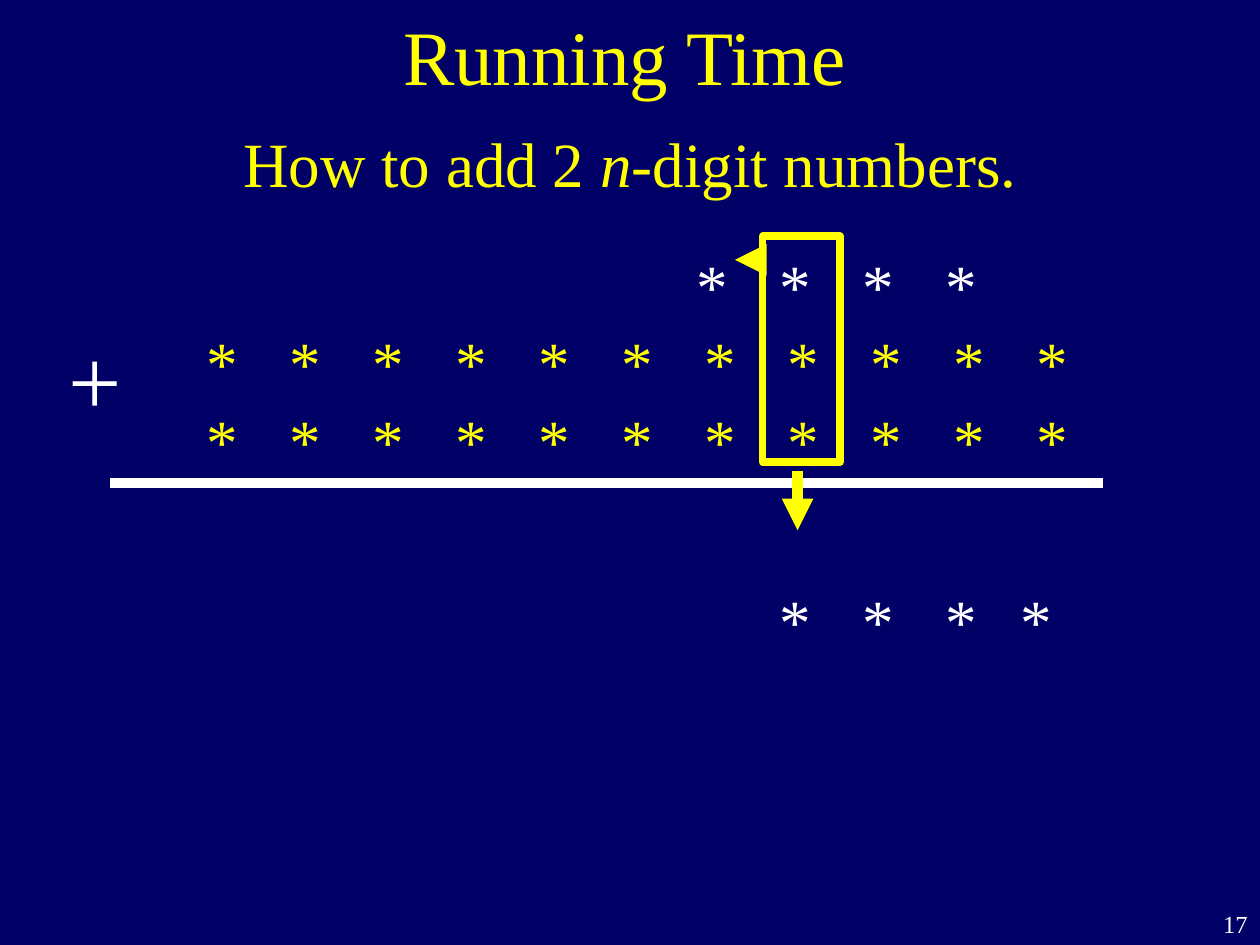
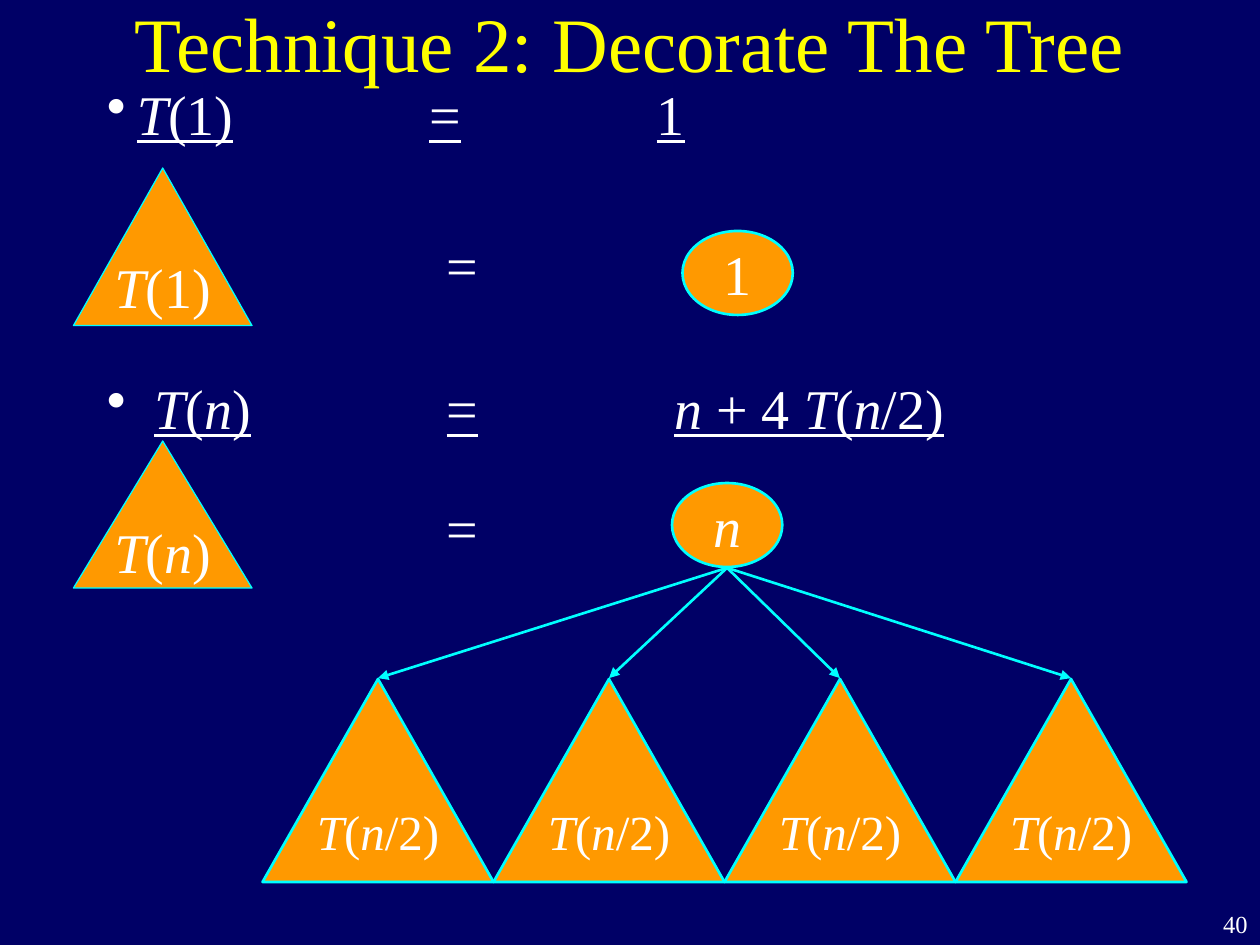
from dataclasses import dataclass

from lxml.etree import SubElement
from pptx import Presentation
from pptx.dml.color import RGBColor
from pptx.enum.shapes import MSO_CONNECTOR, MSO_SHAPE
from pptx.enum.text import MSO_ANCHOR as Anchor, PP_ALIGN as Align
from pptx.oxml.ns import qn
from pptx.slide import Slide
from pptx.util import Pt

COLORS = {
    "background": "000066",
    "title": "FFFF00",
    "body": "FFFFFF",
    "node": "FF9900",
    "outline": "00FFFF",
}
FONT = "Times New Roman"


@dataclass(frozen=True)
class Box:
    left: float
    top: float
    width: float
    height: float

    def lengths(self) -> tuple:
        return Pt(self.left), Pt(self.top), Pt(self.width), Pt(self.height)


@dataclass(frozen=True)
class Node:
    label: str
    kind: MSO_SHAPE
    box: Box
    size: float = 32
    line_width: float = 1.5


@dataclass(frozen=True)
class Line:
    start: tuple[float, float]
    end: tuple[float, float]
    color: str
    width: float
    arrow: bool = False


@dataclass(frozen=True)
class Equation:
    text: str
    top: float
    indent: float


def rgb(name: str) -> RGBColor:
    return RGBColor.from_string(COLORS[name])


def write(frame, text: str, *, size: float, color: str = "body", align=Align.CENTER,
          anchor=Anchor.MIDDLE, wrap: bool = True, underline: bool = False,
          inset: tuple[float, float] = (7.2, 3.6), gap: float = 0,
          indent: float = 0, tabs: tuple[float, ...] = ()) -> None:
    frame.word_wrap = wrap
    frame.vertical_anchor = anchor
    frame.margin_left = frame.margin_right = Pt(inset[0])
    frame.margin_top = frame.margin_bottom = Pt(inset[1])
    for number, line in enumerate(text.split("\n")):
        paragraph = frame.add_paragraph() if number else frame.paragraphs[0]
        paragraph.alignment = align
        if number:
            paragraph.space_before = Pt(gap)
        if indent:
            properties = paragraph._p.get_or_add_pPr()
            properties.set("marL", str(Pt(indent)))
            properties.set("indent", str(-Pt(indent)))
            SubElement(properties, qn("a:buChar"), char="•")
            stops = SubElement(properties, qn("a:tabLst"))
            for stop in tabs:
                SubElement(stops, qn("a:tab"), pos=str(Pt(stop)), algn="l")
        for part, words in enumerate(line.split("_")):
            if words:
                run = paragraph.add_run()
                run.text = words
                run.font.name = FONT
                run.font.size = Pt(size)
                run.font.italic = part % 2 == 1
                run.font.underline = underline
                run.font.color.rgb = rgb(color)


def add_text(slide: Slide, box: Box, text: str, **style) -> None:
    write(slide.shapes.add_textbox(*box.lengths()).text_frame, text, **style)


def add_line(slide: Slide, line: Line) -> None:
    ends = [Pt(value) for value in (*line.start, *line.end)]
    connector = slide.shapes.add_connector(MSO_CONNECTOR.STRAIGHT, *ends)
    connector.line.color.rgb = rgb(line.color)
    connector.line.width = Pt(line.width)
    if line.arrow:
        SubElement(connector.line._get_or_add_ln(), qn("a:tailEnd"), type="triangle")
    SubElement(connector._element.spPr, qn("a:effectLst"))


def add_node(slide: Slide, node: Node) -> None:
    shape = slide.shapes.add_shape(node.kind, *node.box.lengths())
    shape.shadow.inherit = False
    shape.fill.solid()
    shape.fill.fore_color.rgb = rgb("node")
    shape.line.color.rgb = rgb("outline")
    shape.line.width = Pt(node.line_width)
    write(shape.text_frame, node.label, size=node.size, wrap=False)


def add_slide(deck, title: str, title_box: Box, number: int) -> Slide:
    slide = deck.slides.add_slide(deck.slide_layouts[6])
    slide.background.fill.solid()
    slide.background.fill.fore_color.rgb = rgb("background")
    add_text(slide, title_box, title, size=44, color="title")
    add_text(slide, Box(684, 516, 36, 24), str(number), size=14,
             align=Align.RIGHT, anchor=Anchor.TOP)
    return slide


def add_digits(slide: Slide, center: float, top: float, text: str, color: str) -> None:
    add_text(slide, Box(center - 12, top, 24, 42 * len(text.split())), text, size=36,
             color=color, anchor=Anchor.TOP, inset=(0, 0), gap=1.8)


def build_running_time(deck) -> None:
    slide = add_slide(deck, "Running Time", Box(18, -13.5, 678, 90), 17)
    add_text(slide, Box(54, 48, 612, 90), "How to add 2 _n_-digit numbers.",
             size=36, color="title")

    columns = [127.1 + 47.4 * index for index in range(11)]
    for center in columns:
        add_digits(slide, center, 184.6, "*\n*", "title")
    for center in columns[6:10]:
        add_digits(slide, center - 4.5, 141, "*", "body")
    for center in (*(column - 4.5 for column in columns[7:10]), columns[10] - 9):
        add_digits(slide, center, 332.6, "*", "body")
    add_text(slide, Box(18, 180, 73.2, 72), "+", size=54, inset=(0, 3.6))

    add_line(slide, Line((630, 276), (63, 276), "body", 6))
    add_line(slide, Line((455.75, 269), (455.75, 303), "title", 6, True))
    add_line(slide, Line((435, 148.5), (420, 148.5), "title", 6, True))
    current_column = slide.shapes.add_shape(
        MSO_SHAPE.RECTANGLE, *Box(435.75, 135, 44.25, 129).lengths())
    current_column.shadow.inherit = False
    current_column.fill.background()
    current_column.line.color.rgb = rgb("title")
    current_column.line.width = Pt(4.5)


def build_decorated_tree(deck) -> None:
    slide = add_slide(deck, "Technique 2: Decorate The Tree", Box(54, 0, 612, 48), 40)
    equations = (
        Equation("_T_(1)\t=\t1", 42, 17.1),
        Equation("_T_(_n_)\t=\t_n_ + 4 _T_(_n_/2)", 210, 27),
    )
    for equation in equations:
        add_text(slide, Box(54, equation.top, 558, 60), equation.text, size=32,
                 align=Align.LEFT, anchor=Anchor.TOP, underline=True,
                 indent=equation.indent,
                 tabs=(equation.indent + 167.1, equation.indent + 297.1))
    for top in (128, 278.5):
        add_text(slide, Box(222, top, 84, 45), "=", size=32, anchor=Anchor.TOP)

    triangle, oval = MSO_SHAPE.ISOSCELES_TRIANGLE, MSO_SHAPE.OVAL
    nodes = [
        Node("_T_(1)", triangle, Box(42, 96, 102, 90), line_width=0.75),
        Node("1", oval, Box(390, 132, 63, 48)),
        Node("_T_(_n_)", triangle, Box(42, 252, 102, 84), line_width=0.75),
        Node("_n_", oval, Box(384, 276, 63, 48)),
    ]
    subtree_width, subtree_top = 132, 388
    for index in range(4):
        left = 150 + subtree_width * index
        nodes.append(Node("_T_(_n_/2)", triangle,
                          Box(left, subtree_top, subtree_width, 116), 28))
        add_line(slide, Line((415.5, 324.5), (left + subtree_width / 2, subtree_top - 0.5),
                             "outline", 1.5, True))
    for node in nodes:
        add_node(slide, node)


def main() -> None:
    deck = Presentation()
    deck.slide_width, deck.slide_height = Pt(720), Pt(540)
    build_running_time(deck)
    build_decorated_tree(deck)
    deck.save("out.pptx")


if __name__ == "__main__":
    main()
